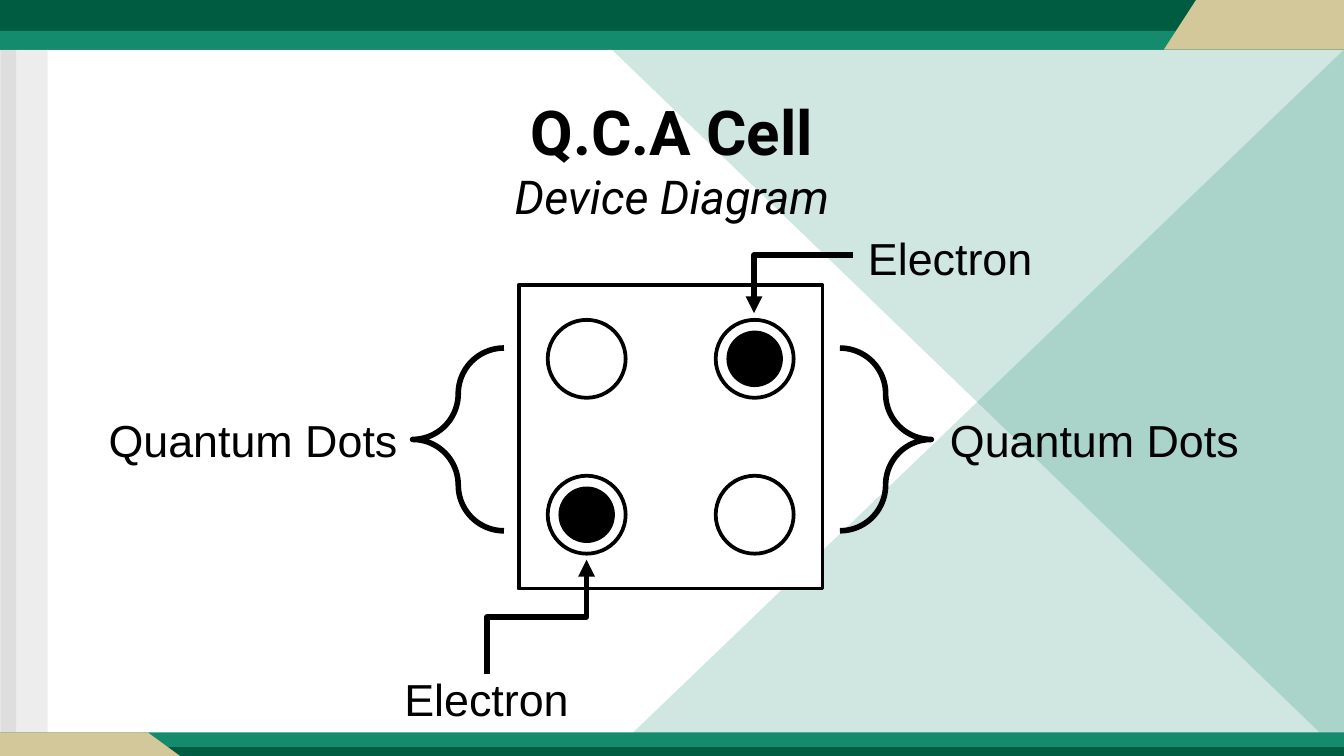
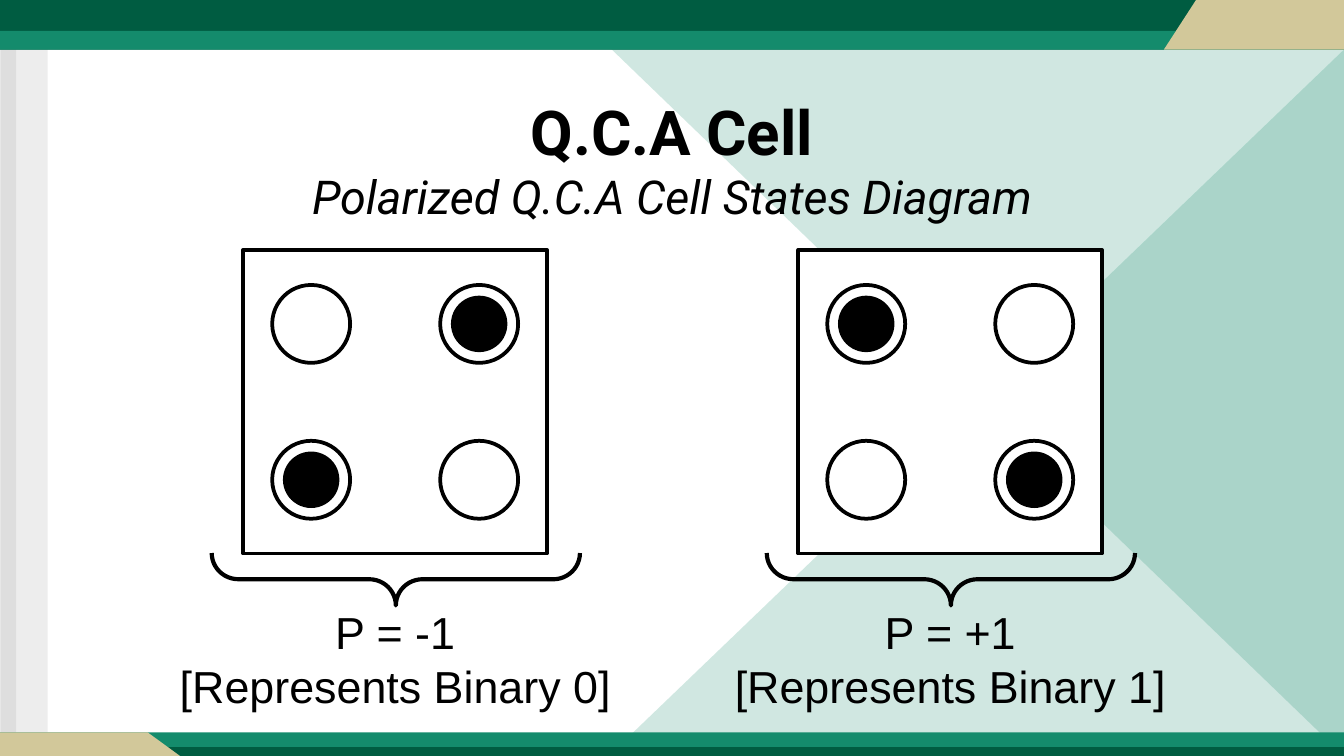
from lxml import etree
from pptx import Presentation
from pptx.dml.color import RGBColor
from pptx.enum.shapes import MSO_CONNECTOR, MSO_SHAPE
from pptx.enum.text import PP_ALIGN
from pptx.oxml.ns import qn
from pptx.util import Inches, Pt

RECT, OVAL = MSO_SHAPE.RECTANGLE, MSO_SHAPE.OVAL
TRIANGLE = MSO_SHAPE.ISOSCELES_TRIANGLE
BRACE, BRACE_PAIR = MSO_SHAPE.RIGHT_BRACE, MSO_SHAPE.DOUBLE_BRACE
ELBOW = MSO_CONNECTOR.ELBOW
LEFT, CENTER = PP_ALIGN.LEFT, PP_ALIGN.CENTER

BLACK = RGBColor(0x00, 0x00, 0x00)
WHITE = RGBColor(0xFF, 0xFF, 0xFF)
GRAY = RGBColor(0xA6, 0xA6, 0xA6)
GREEN = RGBColor(0x14, 0x8B, 0x6C)
DARK_GREEN = RGBColor(0x00, 0x5C, 0x41)
SAND = RGBColor(0xD2, 0xC8, 0x9A)

SLIDE_WIDTH = 10
SLIDE_HEIGHT = SLIDE_WIDTH * 9 / 16

# Content
TITLE = "Q.C.A Cell"
DEVICE_SUBTITLE = "Device Diagram"
STATES_SUBTITLE = "Polarized Q.C.A Cell States Diagram"

RISING = {(0, 1), (1, 0)}  # (row, column) of the dots that hold an electron
FALLING = {(0, 0), (1, 1)}

DEVICE_LABELS = [  # text, box, alignment
    ("Quantum Dots", (6.97, 3.02, 2.54, 0.5), LEFT),
    ("Quantum Dots", (0.71, 3.02, 2.54, 0.5), LEFT),
    ("Electron", (2.9, 4.95, 1.44, 0.5), CENTER),
    ("Electron", (6.35, 1.67, 1.44, 0.5), CENTER),
]
ELECTRON_ARROWS = [  # box before turning, rotation, flips, bend position
    ((3.57, 4.22, 0.85, 0.74), 90, ("flipH", "flipV"), 0.5),
    ((5.61, 1.9, 0.74, 0.43), 180, ("flipV",), 1),
]
STATES = [  # cell left, electrons, caption
    (1.81, RISING, ["P = -1", "[Represents Binary 0]"]),
    (5.94, FALLING, ["P = +1", "[Represents Binary 1]"]),
]

# Shared look
BAND_BOTTOM, FOOTER_TOP = 0.37, 5.45
FOOTER_HEIGHT = SLIDE_HEIGHT - FOOTER_TOP
SIDE_BANDS = [(-2.6, 2.67, 5.56, 0.35), (-2.72, 2.79, 5.56, 0.12)]
TRIANGLES = [
    ((4.53, BAND_BOTTOM, 5.47, SLIDE_HEIGHT - BAND_BOTTOM), ("flipH",)),
    ((4.17, 0, 5.83, SLIDE_HEIGHT), ("flipH", "flipV")),
]
BARS = [
    ((0, 0, SLIDE_WIDTH, BAND_BOTTOM), DARK_GREEN),
    ((0, 0.23, SLIDE_WIDTH, BAND_BOTTOM - 0.23), GREEN),
    ((0, FOOTER_TOP, SLIDE_WIDTH, FOOTER_HEIGHT), GREEN),
    ((0, 5.56, SLIDE_WIDTH, SLIDE_HEIGHT - 5.56), DARK_GREEN),
]
CORNERS = [
    [(8.9, 0), (8.66, BAND_BOTTOM), (SLIDE_WIDTH, BAND_BOTTOM), (SLIDE_WIDTH, 0)],
    [(1.1, FOOTER_TOP), (1.34, SLIDE_HEIGHT), (0, SLIDE_HEIGHT), (0, FOOTER_TOP)],
]

# Cell geometry
CELL_SIZE = 2.26
DOT_SIZE = 0.58
COLUMN_STEP, ROW_STEP = 1.25, 1.16
DOT_LEFT = (CELL_SIZE - COLUMN_STEP - DOT_SIZE) / 2
DOT_TOP = (CELL_SIZE - ROW_STEP - DOT_SIZE) / 2
ELECTRON_INSET = 0.08
ELECTRON_SIZE = DOT_SIZE - 2 * ELECTRON_INSET


def inches(values):
    return [Inches(value) for value in values]


def paint(shape, fill=None, line_width=None, alpha=None):
    shape.shadow.inherit = False
    if fill is None:
        shape.fill.background()
    else:
        shape.fill.solid()
        shape.fill.fore_color.rgb = fill
    if alpha:
        color = next(shape.element.spPr.iter(qn("a:srgbClr")))
        etree.SubElement(color, qn("a:alpha"), val=str(alpha * 1000))
    if line_width:
        shape.line.color.rgb = BLACK
        shape.line.width = Pt(line_width)
    else:
        shape.line.fill.background()
    return shape


def add_figure(shapes, kind, box, fill=None, line_width=None, alpha=None,
               adjustments=(), rotation=0):
    figure = shapes.add_shape(kind, *inches(box))
    for index, value in enumerate(adjustments):
        figure.adjustments[index] = value
    figure.rotation = rotation
    return paint(figure, fill, line_width, alpha)


def flip(shape, flips):
    for name in flips:
        shape.element.spPr.find(qn("a:xfrm")).set(name, "1")


def add_text(slide, box, lines, align=CENTER):
    """Each line is (text, size, font, bold, italic)."""
    frame = slide.shapes.add_textbox(*inches(box)).text_frame
    frame.word_wrap = True
    frame.text = "\n".join(line[0] for line in lines)
    for paragraph, (_, size, font, bold, italic) in zip(frame.paragraphs, lines):
        paragraph.alignment = align
        for run in paragraph.runs:
            run.font.name = font
            run.font.size = Pt(size)
            run.font.bold = bold
            run.font.italic = italic
            run.font.color.rgb = BLACK


def add_label(slide, box, texts, align=CENTER):
    add_text(slide, box, [(text, 24, "Arial", False, False) for text in texts], align)


def add_title(slide, subtitle):
    add_text(slide, (0.5, 0.65, 9, 0.94), [
        (TITLE, 33.1, "Roboto", True, False),
        (subtitle, 25, "Roboto", False, True),
    ])


def add_cell(slide, left, top, electrons):
    shapes = slide.shapes.add_group_shape().shapes
    add_figure(shapes, RECT, (left, top, CELL_SIZE, CELL_SIZE), WHITE, 2)
    for row in range(2):
        for column in range(2):
            x = left + DOT_LEFT + column * COLUMN_STEP
            y = top + DOT_TOP + row * ROW_STEP
            add_figure(shapes, OVAL, (x, y, DOT_SIZE, DOT_SIZE), WHITE, 2)
            if (row, column) in electrons:
                add_figure(shapes, OVAL, (x + ELECTRON_INSET, y + ELECTRON_INSET,
                                          ELECTRON_SIZE, ELECTRON_SIZE), BLACK)


def add_elbow_arrow(slide, box, rotation, flips, bend):
    x, y, width, height = box
    arrow = slide.shapes.add_connector(ELBOW, *inches((x, y, x + width, y + height)))
    arrow.line.color.rgb = BLACK
    arrow.line.width = Pt(3)
    properties = arrow.element.spPr
    properties.find(qn("a:xfrm")).set("rot", str(rotation * 60000))
    flip(arrow, flips)
    guides = properties.find(qn("a:prstGeom")).find(qn("a:avLst"))
    etree.SubElement(guides, qn("a:gd"), name="adj1", fmla=f"val {int(bend * 100000)}")
    etree.SubElement(properties.find(qn("a:ln")), qn("a:tailEnd"), type="triangle")
    etree.SubElement(properties, qn("a:effectLst"))


def decorate_layout(layout, slide):
    """Draw the shared bands on an empty slide, then move them to its layout."""
    shapes = slide.shapes
    for box in SIDE_BANDS:
        add_figure(shapes, RECT, box, GRAY, alpha=20, rotation=90)
    for box, flips in TRIANGLES:
        flip(add_figure(shapes, TRIANGLE, box, GREEN, alpha=20, adjustments=[0]), flips)
    for box, color in BARS:
        add_figure(shapes, RECT, box, color)
    for corner in CORNERS:
        points = [inches(point) for point in corner]
        builder = shapes.build_freeform(*points[0])
        builder.add_line_segments(points[1:], close=True)
        paint(builder.convert_to_shape(), SAND)
    for placeholder in list(layout.placeholders):
        layout.shapes.element.remove(placeholder.element)
    for shape in list(shapes):
        layout.shapes.element.append(shape.element)


def build_device_slide(slide):
    add_title(slide, DEVICE_SUBTITLE)
    add_cell(slide, 3.86, 2.12, RISING)
    add_figure(slide.shapes, BRACE_PAIR, (3.07, 2.59, 3.86, 1.36), line_width=3,
               adjustments=[0.25])
    for text, box, align in DEVICE_LABELS:
        add_label(slide, box, [text], align)
    for arrow in ELECTRON_ARROWS:
        add_elbow_arrow(slide, *arrow)


def build_states_slide(slide):
    add_title(slide, STATES_SUBTITLE)
    for left, electrons, caption in STATES:
        add_cell(slide, left, 1.86, electrons)
        add_figure(slide.shapes, BRACE, (left + 0.94, 2.94, 0.39, 2.74),
                   line_width=2.25, adjustments=[0.51, 0.5], rotation=90)
        add_label(slide, (left - 0.59, 4.45, 3.44, 0.91), caption)


def main():
    prs = Presentation()
    prs.slide_width, prs.slide_height = inches((SLIDE_WIDTH, SLIDE_HEIGHT))
    blank = prs.slide_layouts[6]
    device_slide = prs.slides.add_slide(blank)
    decorate_layout(blank, device_slide)
    build_device_slide(device_slide)
    build_states_slide(prs.slides.add_slide(blank))
    prs.save("out.pptx")


if __name__ == "__main__":
    main()
